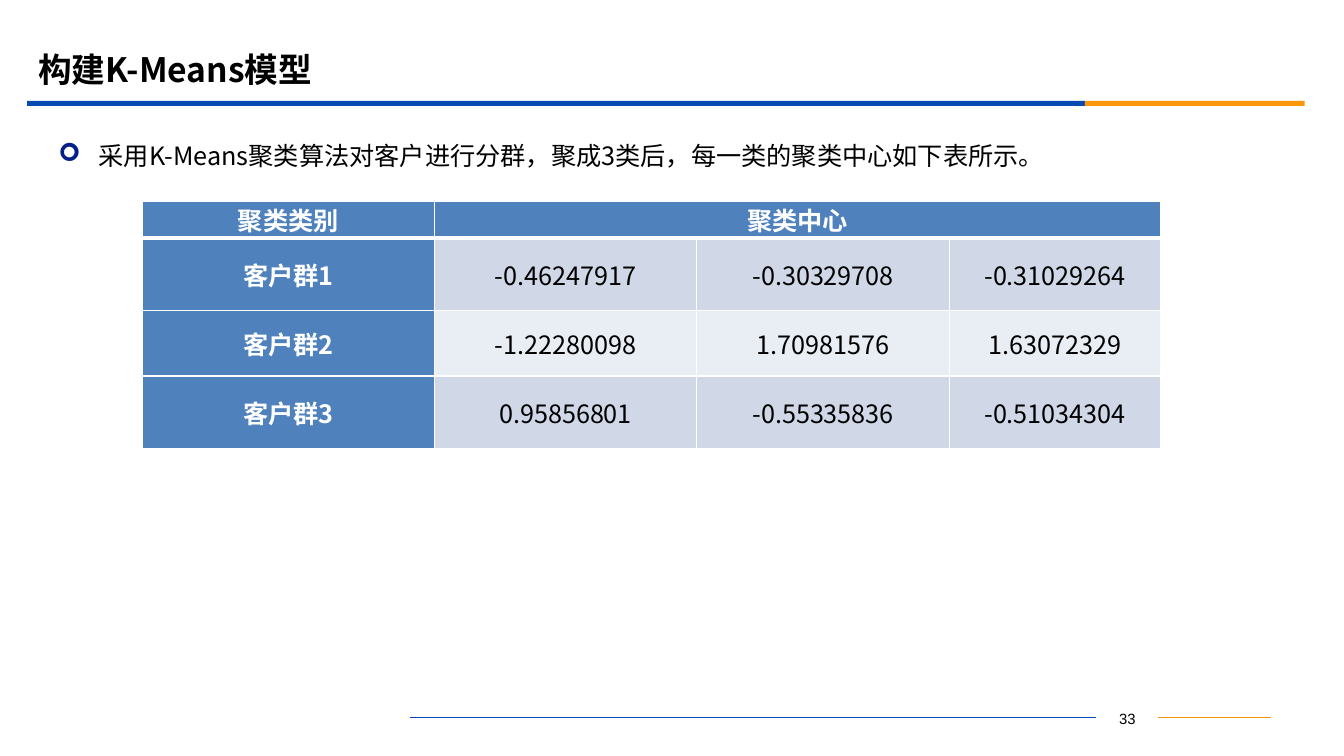
from lxml import etree
from pptx import Presentation
from pptx.dml.color import RGBColor
from pptx.enum.shapes import MSO_CONNECTOR, MSO_SHAPE
from pptx.enum.text import MSO_ANCHOR, PP_ALIGN
from pptx.oxml import parse_xml
from pptx.oxml.ns import nsdecls, qn
from pptx.util import Inches, Pt

COLORS = {"blue": "064BB2", "orange": "FB9708", "amber": "F19500",
          "bullet": "032089", "header": "4F81BD", "band": "D0D8E8",
          "light": "E9EDF4", "white": "FFFFFF", "black": "000000"}
CJK = "Noto Sans CJK SC"


def write(tf, text, size=18, color="black", bold=False, font=CJK,
          align=PP_ALIGN.LEFT, anchor=MSO_ANCHOR.TOP):
    tf.word_wrap = True
    tf.vertical_anchor = anchor
    p = tf.paragraphs[0]
    p.alignment = align
    r = p.add_run()
    r.text = text
    r.font.size = Pt(size)
    r.font.bold = bold
    r.font.name = font
    r.font.color.rgb = RGBColor.from_string(COLORS[color])
    ea = etree.SubElement(r._r.get_or_add_rPr(), qn("a:ea"))
    ea.set("typeface", font)
    return p


prs = Presentation()
prs.slide_width, prs.slide_height = Inches(13.33), Inches(7.5)
s = prs.slides.add_slide(prs.slide_layouts[6])

for x1, x2, color in [(11.49, 12.61, "amber"), (4.07, 10.87, "blue")]:
    line = s.shapes.add_connector(MSO_CONNECTOR.STRAIGHT, Inches(x1), Inches(7.12),
                                  Inches(x2), Inches(7.12))
    line.line.color.rgb = RGBColor.from_string(COLORS[color])
    line.line.width = Pt(0.75)
    etree.SubElement(line._element.spPr, qn("a:effectLst"))

for x, w, color in [(0.27, 10.49, "blue"), (10.76, 2.18, "orange")]:
    bar = s.shapes.add_shape(MSO_SHAPE.RECTANGLE, Inches(x), Inches(1), Inches(w), Inches(0.05))
    bar.fill.solid()
    bar.fill.fore_color.rgb = RGBColor.from_string(COLORS[color])
    bar.line.fill.background()
    bar.shadow.inherit = False

title = s.shapes.add_textbox(Inches(0.28), Inches(0.39), Inches(12), Inches(0.58))
write(title.text_frame, "构建K-Means模型", size=24, bold=True, anchor=MSO_ANCHOR.MIDDLE)

number = s.shapes.add_textbox(Inches(10.87), Inches(6.99), Inches(0.62), Inches(0.25))
write(number.text_frame, "33", size=10.6, font="Arial", align=PP_ALIGN.CENTER)

body = s.shapes.add_textbox(Inches(0.48), Inches(1.19), Inches(12.15), Inches(0.91))
p = write(body.text_frame, "采用K-Means聚类算法对客户进行分群，聚成3类后，每一类的聚类中心如下表所示。")
pPr = p._p.get_or_add_pPr()
pPr.set("marL", str(Inches(0.4)))
pPr.set("indent", str(-Inches(0.4)))
for xml in (f'<a:buClr {nsdecls("a")}><a:srgbClr val="{COLORS["bullet"]}"/></a:buClr>',
            f'<a:buFont {nsdecls("a")} typeface="Wingdings"/>',
            f'<a:buChar {nsdecls("a")} char="➢"/>'):
    pPr.append(parse_xml(xml))
p.line_spacing = 1.5

rows = [["聚类类别", "聚类中心", "", ""],
        ["客户群1", "-0.46247917", "-0.30329708", "-0.31029264"],
        ["客户群2", "-1.22280098", "1.70981576", "1.63072329"],
        ["客户群3", "0.95856801", "-0.55335836", "-0.51034304"]]
table = s.shapes.add_table(4, 4, Inches(1.41), Inches(2), Inches(10.1), Inches(2.45)).table
table.first_row = table.horz_banding = False
for column, width in zip(table.columns, [2.9, 2.6, 2.51, 2.09]):
    column.width = Inches(width)
for row, height in zip(table.rows, [0.36, 0.72, 0.65, 0.72]):
    row.height = Inches(height)
table.cell(0, 1).merge(table.cell(0, 3))

for i, row in enumerate(rows):
    for j, text in enumerate(row):
        cell = table.cell(i, j)
        heading = i == 0 or j == 0
        cell.margin_left = cell.margin_right = Inches(0.02)
        cell.margin_top = cell.margin_bottom = 0
        tcPr = cell._tc.get_or_add_tcPr()
        for side in "LRTB":
            thick = (i, side) in [(0, "B"), (1, "T")]
            tcPr.append(parse_xml(
                f'<a:ln{side} {nsdecls("a")} w="{Pt(3 if thick else 1)}"><a:solidFill>'
                f'<a:srgbClr val="{COLORS["white"]}"/></a:solidFill></a:ln{side}>'))
        fill = "header" if heading else "band" if i % 2 else "light"
        cell.fill.solid()
        cell.fill.fore_color.rgb = RGBColor.from_string(COLORS[fill])
        cell.vertical_anchor = MSO_ANCHOR.MIDDLE
        if text:
            write(cell.text_frame, text, color="white" if heading else "black",
                  bold=heading, align=PP_ALIGN.CENTER, anchor=None)

prs.save("out.pptx")
